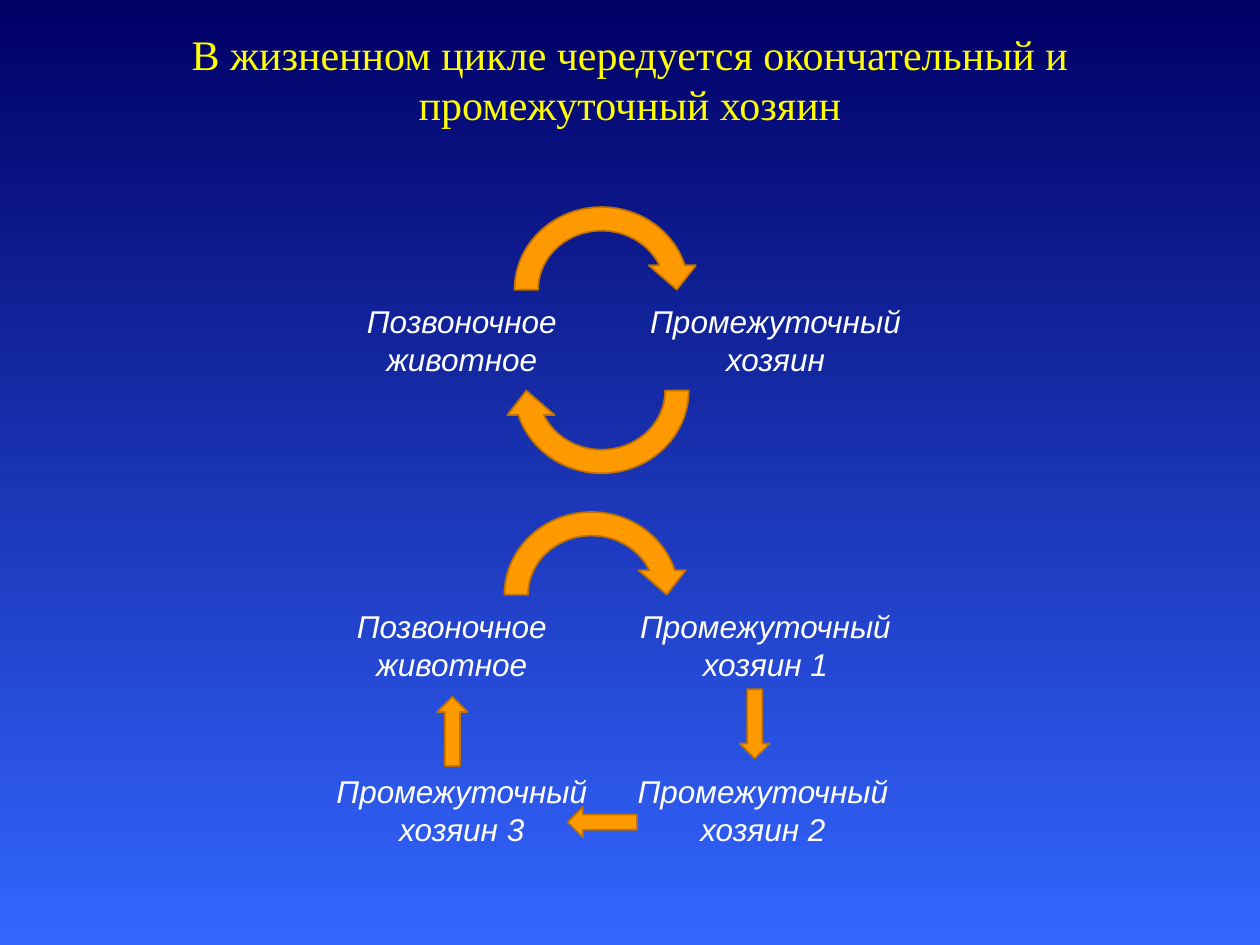
"""Builds a slide on the life cycle of a parasite and its hosts."""
from dataclasses import dataclass

from pptx import Presentation
from pptx import util as u
from pptx.dml.color import RGBColor
from pptx.enum import shapes, text


@dataclass(frozen=True)
class Theme:
    """Colours, fonts and type sizes of the slide."""
    sky: str = "000066"
    base: str = "3366FF"
    title: str = "FFFF00"
    label: str = "FFFFFF"
    arrow: str = "FF9900"
    edge: str = "BD7100"
    title_font: str = "Times New Roman"
    label_font: str = "Arial"
    title_size: float = 24
    label_size: float = 18
    edge_width: float = 1


def write(box, words, *, font, size, color, italic=False, anchor=text.MSO_ANCHOR.TOP):
    """Put one centred, wrapped paragraph in a box."""
    frame = box.text_frame
    frame.word_wrap = True
    frame.vertical_anchor = anchor
    para = frame.paragraphs[0]
    para.alignment = text.PP_ALIGN.CENTER
    span = para.add_run()
    span.text = words
    span.font.name = font
    span.font.size = u.Pt(size)
    span.font.italic = italic
    span.font.color.rgb = RGBColor.from_string(color)


class Page:
    """Draws on one slide, measured on a grid of 10 columns and 7.5 rows."""
    COLUMNS, ROWS = 10, 7.5
    LABEL = (2.49, 0.71)
    TURN = (1.57, 1.5)
    STEP = (0.24, 0.55)

    def __init__(self, deck, theme):
        """Add a blank slide to the deck."""
        self.deck, self.theme = deck, theme
        self.slide = deck.slides.add_slide(deck.slide_layouts[6])
        self.target = self.slide.shapes

    def place(self, column, row, width, height):
        """Turn grid lengths into slide lengths."""
        across = self.deck.slide_width / self.COLUMNS
        down = self.deck.slide_height / self.ROWS
        return [u.Emu(round(n * cell)) for n, cell in
                zip((column, row, width, height), (across, down, across, down))]

    def background(self):
        """Fill the slide with a gradient from top to bottom."""
        fill = self.slide.background.fill
        fill.gradient()
        fill.gradient_angle = 270
        for stop, color, position in zip(
                fill.gradient_stops, (self.theme.sky, self.theme.base), (0, 1)):
            stop.color.rgb = RGBColor.from_string(color)
            stop.position = position

    def group(self):
        """Collect the elements that follow in one group."""
        self.target = self.slide.shapes.add_group_shape().shapes

    def title(self, words):
        """Add the heading."""
        box = self.target.add_textbox(*self.place(0.75, 0, 8.5, 1.25))
        write(box, words, font=self.theme.title_font, size=self.theme.title_size,
              color=self.theme.title, anchor=text.MSO_ANCHOR.MIDDLE)

    def host(self, words, column, row):
        """Add the name of a host."""
        box = self.target.add_textbox(*self.place(column, row, *self.LABEL))
        write(box, words, font=self.theme.label_font, size=self.theme.label_size,
              color=self.theme.label, italic=True)
        box.text_frame.auto_size = text.MSO_AUTO_SIZE.SHAPE_TO_FIT_TEXT

    def arrow(self, kind, column, row, size, rotation=0):
        """Add a block arrow."""
        arrow = self.target.add_shape(kind, *self.place(column, row, *size))
        arrow.rotation = rotation
        arrow.shadow.inherit = False
        arrow.fill.solid()
        arrow.fill.fore_color.rgb = RGBColor.from_string(self.theme.arrow)
        arrow.line.color.rgb = RGBColor.from_string(self.theme.edge)
        arrow.line.width = u.Pt(self.theme.edge_width)

    def turn(self, column, row, rotation=0):
        """Add a curved arrow."""
        self.arrow(shapes.MSO_SHAPE.CIRCULAR_ARROW, column, row, self.TURN, rotation)

    def step(self, column, row, rotation=0):
        """Add a straight arrow."""
        self.arrow(shapes.MSO_SHAPE.DOWN_ARROW, column, row, self.STEP, rotation)

    def passage(self, next_host, column, row):
        """Add a vertebrate, its next host and the curved arrow between them."""
        self.host("Позвоночное животное", column, row)
        self.host(next_host, column + self.LABEL[0], row)
        self.turn(column + 1.57, row - 0.8)


def main():
    """Build and save the deck."""
    deck = Presentation()
    deck.slide_width, deck.slide_height = u.Inches(10), u.Inches(7.5)
    page = Page(deck, Theme())
    page.background()
    page.title("В жизненном цикле чередуется окончательный и промежуточный хозяин")

    page.passage("Промежуточный хозяин", 2.42, 2.35)
    page.turn(3.99, 2.35, rotation=180)

    page.group()
    page.passage("Промежуточный хозяин 1", 2.34, 4.77)
    for number, column in ((2, 4.81), (3, 2.42)):
        page.host(f"Промежуточный хозяин {number}", column, 6.08)
    for column, row, rotation in ((5.87, 5.47, 0), (4.66, 6.25, 90), (3.47, 5.53, 180)):
        page.step(column, row, rotation)

    deck.save("out.pptx")


if __name__ == "__main__":
    main()
